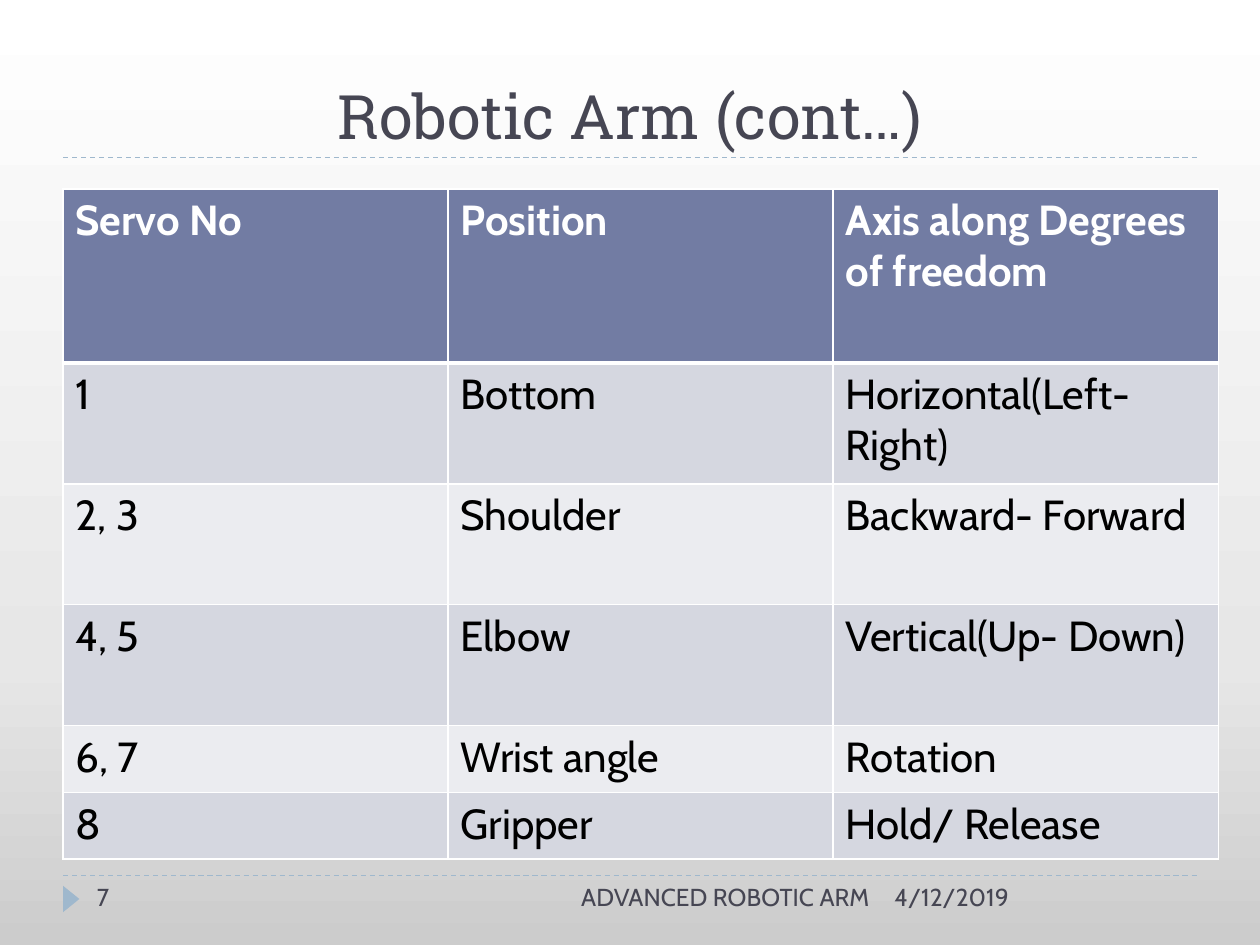
from copy import deepcopy
from lxml import etree
from pptx import Presentation
from pptx.dml.color import RGBColor
from pptx.enum.dml import MSO_LINE
from pptx.enum.shapes import MSO_CONNECTOR, MSO_SHAPE
from pptx.enum.text import MSO_ANCHOR, PP_ALIGN
from pptx.oxml.ns import qn
from pptx.util import Inches, Pt

INK = RGBColor(0x46, 0x46, 0x53)
ACCENT = RGBColor(0x9F, 0xB8, 0xCD)
HEADER = RGBColor(0x72, 0x7C, 0xA3)
BAND_DARK = RGBColor(0xD5, 0xD7, 0xE0)
BAND_LIGHT = RGBColor(0xEB, 0xEC, 0xF0)
WHITE = RGBColor(0xFF, 0xFF, 0xFF)
BLACK = RGBColor(0, 0, 0)
STOPS = [(0, RGBColor(0xCC, 0xCC, 0xCC)), (0.3, RGBColor(0xE7, 0xE7, 0xE7)), (1, WHITE)]


def add_text(tf, text, size, color, font="Cabin", bold=False, align=PP_ALIGN.LEFT):
    tf.word_wrap = True
    p = tf.paragraphs[0]
    p.alignment = align
    r = p.add_run()
    r.text = text
    r.font.size, r.font.name, r.font.bold = Pt(size), font, bold
    r.font.color.rgb = color


def add_border(cell, side, width):
    ln = etree.SubElement(cell._tc.get_or_add_tcPr(), qn("a:" + side), w=str(Pt(width)))
    fill = etree.SubElement(ln, qn("a:solidFill"))
    etree.SubElement(fill, qn("a:srgbClr"), val=str(WHITE))


prs = Presentation()
prs.slide_width, prs.slide_height = Inches(10), Inches(7.5)
s = prs.slides.add_slide(prs.slide_layouts[6])

# Background gradient, dark at the bottom
bg = s.background.fill
bg.gradient()
bg.gradient_angle = 90
stop_list = next(s.element.iter(qn("a:gsLst")))
stop_list.append(deepcopy(stop_list[0]))
for stop, (position, color) in zip(bg.gradient_stops, STOPS):
    stop.position = position
    stop.color.rgb = color

# Dashed rules under the title and above the footer
for y in (6.95, 1.25):
    rule = s.shapes.add_connector(MSO_CONNECTOR.STRAIGHT, Inches(0.5), Inches(y), Inches(9.5), Inches(y))
    rule.line.color.rgb = ACCENT
    rule.line.width = Pt(0.75)
    rule.line.dash_style = MSO_LINE.DASH
    etree.SubElement(rule._element.spPr, qn("a:effectLst"))

# Page number marker
sp = s.shapes.add_shape(MSO_SHAPE.ISOSCELES_TRIANGLE, Inches(0.46), Inches(7.07), Inches(0.21), Inches(0.13))
sp.rotation = 90
sp.shadow.inherit = False
sp.fill.solid()
sp.fill.fore_color.rgb = ACCENT
sp.line.fill.background()

# Title
title = s.shapes.add_textbox(Inches(0.5), Inches(0.17), Inches(9), Inches(1.08))
title.text_frame.vertical_anchor = MSO_ANCHOR.BOTTOM
add_text(title.text_frame, "Robotic Arm (cont…)", 35, INK, "Roboto Slab", align=PP_ALIGN.CENTER)

# Footer: date, name, page number
for text, x, width, align in [
    ("4/12/2019", 7, 2.5, PP_ALIGN.LEFT),
    ("ADVANCED ROBOTIC ARM", 3.17, 3.83, PP_ALIGN.RIGHT),
    ("7", 0.67, 2.17, PP_ALIGN.LEFT),
]:
    box = s.shapes.add_textbox(Inches(x), Inches(6.95), Inches(width), Inches(0.4))
    add_text(box.text_frame, text, 14, INK, align=align)

# Servo table
rows = [
    ("Servo No", "Position", "Axis along Degrees of freedom"),
    ("1", "Bottom", "Horizontal(Left- Right)"),
    ("2, 3", "Shoulder", "Backward- Forward"),
    ("4, 5", "Elbow", "Vertical(Up- Down)"),
    ("6, 7", "Wrist angle", "Rotation"),
    ("8", "Gripper", "Hold/ Release"),
]
heights = [1.38, 0.96, 0.96, 0.96, 0.53, 0.53]
table = s.shapes.add_table(len(rows), 3, Inches(0.5), Inches(1.5), Inches(9.17), Inches(5.32)).table
for column in table.columns:
    column.width = Inches(9.17 / 3)
for i, (values, height) in enumerate(zip(rows, heights)):
    table.rows[i].height = Inches(height)
    is_header = i == 0
    band = HEADER if is_header else BAND_DARK if i % 2 else BAND_LIGHT
    for j, value in enumerate(values):
        cell = table.cell(i, j)
        add_text(cell.text_frame, value, 24, WHITE if is_header else BLACK, bold=is_header)
        for side in ("lnL", "lnR", "lnT", "lnB"):
            heavy = (i, side) in ((0, "lnB"), (1, "lnT"))
            add_border(cell, side, 3 if heavy else 1)
        cell.fill.solid()
        cell.fill.fore_color.rgb = band

prs.save("out.pptx")
